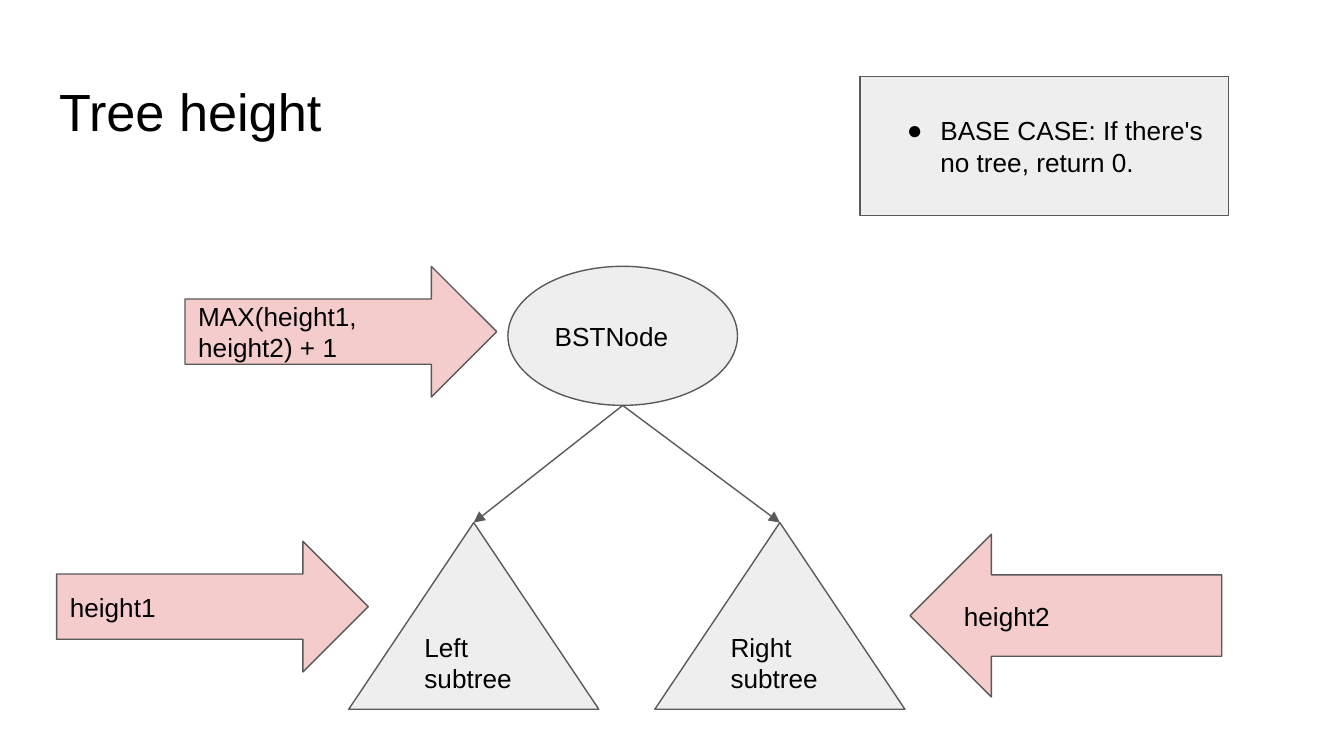
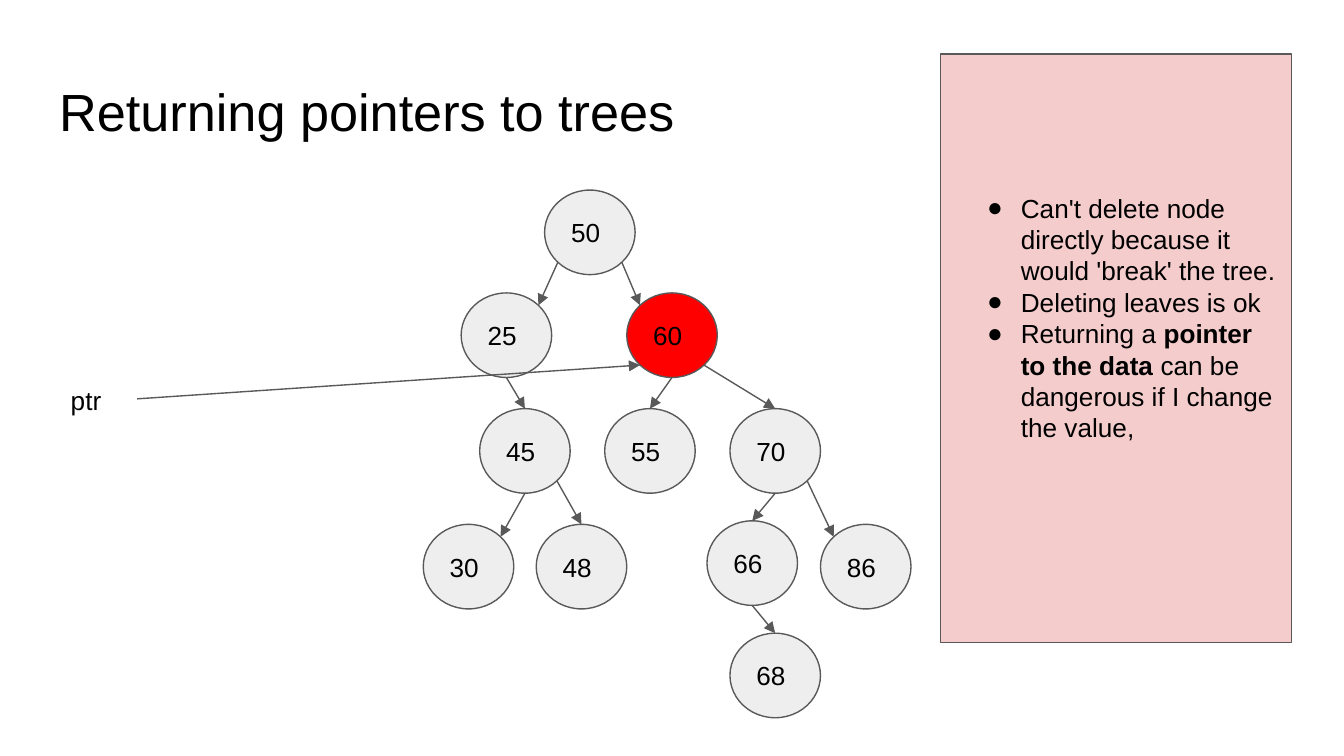
"""Builds two slides on binary tree height and pointers to trees."""
from math import cos, radians, sin

from lxml.etree import SubElement
from pptx import Presentation
from pptx.dml.color import RGBColor
from pptx.enum.shapes import MSO_CONNECTOR as Connector, MSO_SHAPE as Shape
from pptx.enum.text import MSO_ANCHOR as Anchor, MSO_AUTO_SIZE as AutoSize, PP_ALIGN as Align
from pptx.oxml.ns import qn
from pptx.util import Pt

INK, OUTLINE, GREY, PINK, RED = "000000", "595959", "EEEEEE", "F4CCCC", "FF0000"
TOP, TOP_LEFT, BOTTOM_LEFT, BOTTOM, BOTTOM_RIGHT, TOP_RIGHT = 0, 1, 3, 4, 5, 7


def color(value):
    """Turn a hex string into a colour."""
    return RGBColor.from_string(value)


class Deck:
    """Holds the shared style and the current slide."""

    font, body_size, title_size, inset, line_width = "Arial", 14, 28, 7.2, 0.75

    def __init__(self):
        """Start a widescreen presentation."""
        self.show = Presentation()
        self.show.slide_width, self.show.slide_height = Pt(720), Pt(405)
        self.slide = None

    def start(self, heading):
        """Add a slide with its title."""
        self.slide = self.show.slides.add_slide(self.show.slide_layouts[5])
        title = self.slide.shapes.title
        title.left, title.top, title.width, title.height = Pt(24.5), Pt(35), Pt(671), Pt(45)
        title.text_frame.text = heading
        self.style_text(title.text_frame, Anchor.TOP, self.title_size)

    def style_text(self, frame, anchor, size):
        """Give a text frame the shared look."""
        frame.word_wrap, frame.auto_size = True, AutoSize.NONE
        frame.vertical_anchor = anchor
        frame.margin_left = frame.margin_right = Pt(self.inset)
        frame.margin_top = frame.margin_bottom = Pt(self.inset)
        for paragraph in frame.paragraphs:
            paragraph.alignment = Align.LEFT
            for run in paragraph.runs:
                run.font.name, run.font.size = self.font, Pt(size)
                run.font.color.rgb = color(INK)

    def figure(self, preset, left, top, width, height, fill, words=""):
        """Add an outlined preset shape with text."""
        figure = self.slide.shapes.add_shape(preset, Pt(left), Pt(top), Pt(width), Pt(height))
        figure.shadow.inherit = False
        figure.fill.solid()
        figure.fill.fore_color.rgb = color(fill)
        self.style_line(figure.line)
        figure.text_frame.text = words
        self.style_text(figure.text_frame, Anchor.MIDDLE, self.body_size)
        return figure

    def style_line(self, line):
        """Give a line the shared colour and width."""
        line.color.rgb, line.width = color(OUTLINE), Pt(self.line_width)

    def label(self, left, top, width, height, words):
        """Add a plain text box."""
        label = self.slide.shapes.add_textbox(Pt(left), Pt(top), Pt(width), Pt(height))
        label.text_frame.text = words
        self.style_text(label.text_frame, Anchor.TOP, self.body_size)

    def bullet_box(self, left, top, width, height, fill, points, lift=0):
        """Add a box of bullets, with bold between double asterisks."""
        frame = self.figure(Shape.RECTANGLE, left, top, width, height, fill).text_frame
        for index, point in enumerate(points):
            paragraph = frame.add_paragraph() if index else frame.paragraphs[0]
            for part, words in enumerate(point.split("**")):
                run = paragraph.add_run()
                run.text, run.font.bold = words, part % 2 == 1
            self.bullet(paragraph)
        self.style_text(frame, Anchor.MIDDLE, self.body_size)
        frame.margin_bottom = Pt(self.inset + lift)

    def bullet(self, paragraph):
        """Put a round bullet with a hanging indent before a paragraph."""
        properties = paragraph._p.get_or_add_pPr()
        properties.set("marL", str(Pt(36)))
        properties.set("indent", str(-Pt(18)))
        tint = SubElement(properties, qn("a:buClr"))
        SubElement(tint, qn("a:srgbClr")).set("val", INK)
        SubElement(properties, qn("a:buFont")).set("typeface", self.font)
        SubElement(properties, qn("a:buChar")).set("char", "●")

    def site(self, figure, number):
        """Find a connection site, counted anticlockwise from the top."""
        angle = radians(90 + 45 * number)
        x = figure.left + figure.width / 2 * (1 + cos(angle))
        y = figure.top + figure.height / 2 * (1 - sin(angle))
        return round(x), round(y)

    def arrow(self, start, end):
        """Draw a straight line with an arrowhead at its end."""
        arrow = self.slide.shapes.add_connector(Connector.STRAIGHT, *start, *end)
        self.style_line(arrow.line)
        head = SubElement(arrow.line._get_or_add_ln(), qn("a:tailEnd"))
        for key, value in (("type", "triangle"), ("w", "med"), ("len", "med")):
            head.set(key, value)
        SubElement(arrow._element.spPr, qn("a:effectLst"))
        return arrow

    def edge(self, parent, parent_site, child, child_site):
        """Join two tree nodes with a glued arrow."""
        edge = self.arrow(self.site(parent, parent_site), self.site(child, child_site))
        ends = edge._element.nvCxnSpPr.cNvCxnSpPr
        for tag, node, number in (("a:stCxn", parent, parent_site), ("a:endCxn", child, child_site)):
            glue = SubElement(ends, qn(tag))
            glue.set("id", str(node.shape_id))
            glue.set("idx", str(number))


def tree_height(deck):
    """Build the slide on tree height."""
    deck.start("Tree height")
    root = deck.figure(Shape.OVAL, 272.1, 142.7, 123, 74.5, GREY, "BSTNode")
    for left, words in ((186.8, "Left subtree"), (350.8, "Right subtree")):
        subtree = deck.figure(Shape.ISOSCELES_TRIANGLE, left, 280, 134, 100, GREY, words)
        deck.edge(root, BOTTOM, subtree, TOP)
    deck.bullet_box(460.7, 41, 197.5, 74.5, GREY, ["BASE CASE: If there's no tree, return 0."])
    for preset, left, top, height, words in (
        (Shape.RIGHT_ARROW, 30.3, 290, 70, "height1"),
        (Shape.RIGHT_ARROW, 99.1, 142.7, 70, "MAX(height1, height2) + 1"),
        (Shape.LEFT_ARROW, 487.5, 286.2, 87.2, "height2"),
    ):
        deck.figure(preset, left, top, 167, height, PINK, words)


def tree_pointers(deck):
    """Build the slide on pointers to trees."""
    deck.start("Returning pointers to trees")
    width, height = 48.5, 45.3
    centers = {
        50: (316, 124.5), 25: (271.3, 179.6), 60: (360, 179.6),
        55: (348.2, 241.6), 70: (415.3, 241.6), 45: (281.2, 241.6),
        30: (251, 303.6), 48: (311.5, 303.6), 66: (403, 301.7),
        86: (463.8, 303.6), 68: (415.3, 361.9),
    }
    nodes = {
        key: deck.figure(Shape.OVAL, x - width / 2, y - height / 2, width, height,
                         RED if key == 60 else GREY, str(key))
        for key, (x, y) in centers.items()
    }
    for parent, parent_site, child, child_site in (
        (50, BOTTOM_LEFT, 25, TOP_RIGHT), (50, BOTTOM_RIGHT, 60, TOP_LEFT),
        (25, BOTTOM, 45, TOP), (60, BOTTOM, 55, TOP), (60, BOTTOM_RIGHT, 70, TOP),
        (45, BOTTOM, 30, TOP_RIGHT), (45, BOTTOM_RIGHT, 48, TOP),
        (70, BOTTOM, 66, TOP), (70, BOTTOM_RIGHT, 86, TOP_LEFT), (66, BOTTOM, 68, TOP),
    ):
        deck.edge(nodes[parent], parent_site, nodes[child], child_site)
    deck.bullet_box(503.8, 28.9, 188, 315.5, PINK, [
        "Can't delete node directly because it would 'break' the tree.",
        "Deleting leaves is ok",
        "Returning a **pointer to the data** can be dangerous if I change the value,",
    ], lift=33)
    deck.arrow((Pt(73.5), Pt(213.7)), deck.site(nodes[60], BOTTOM_LEFT))
    deck.label(30.8, 198.7, 38, 30, "ptr")


deck = Deck()
tree_height(deck)
tree_pointers(deck)
deck.show.save("out.pptx")
